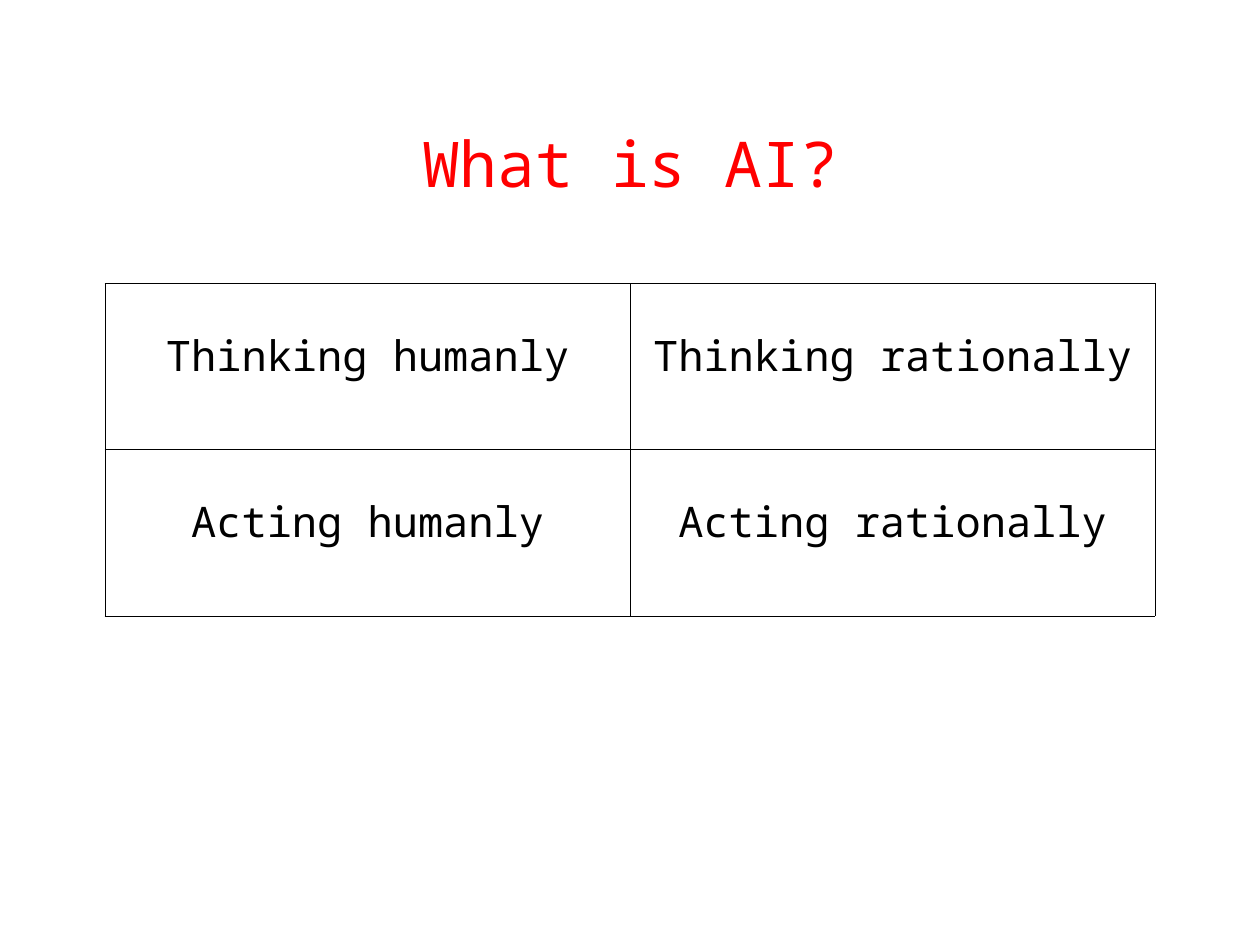
from lxml import etree
from pptx import Presentation
from pptx.dml.color import RGBColor
from pptx.enum.text import MSO_ANCHOR, PP_ALIGN
from pptx.oxml.ns import qn
from pptx.util import Pt

CENTER = PP_ALIGN.CENTER
MIDDLE = MSO_ANCHOR.MIDDLE
TOP = MSO_ANCHOR.TOP
BLANK_LAYOUT = 6
EDGES = ("a:lnL", "a:lnR", "a:lnT", "a:lnB")


def color(hex_value):
    return RGBColor.from_string(hex_value)


class SlideBuilder:
    font_name = "Noto Sans Mono"
    ink = "000000"
    accent = "FF0000"
    border_width = Pt(0.45)
    cell_format = {
        "margin_left": Pt(7.2),
        "margin_right": Pt(7.2),
        "margin_top": Pt(24.5),
        "margin_bottom": Pt(3.6),
        "vertical_anchor": TOP,
    }

    def __init__(self, slide):
        self.slide = slide

    def apply(self, target, values):
        for name, value in values.items():
            setattr(target, name, value)

    def label(self, frame, text, size, hex_value):
        paragraph = frame.paragraphs[0]
        paragraph.alignment = CENTER
        run = paragraph.add_run()
        run.text = text
        self.apply(run.font, {"name": self.font_name, "size": Pt(size)})
        run.font.color.rgb = color(hex_value)

    def title(self, text, left, top, width, height):
        box = self.slide.shapes.add_textbox(Pt(left), Pt(top), Pt(width), Pt(height))
        self.apply(box.text_frame, {"word_wrap": True, "vertical_anchor": MIDDLE})
        self.label(box.text_frame, text, 36, self.accent)

    def border(self, cell):
        properties = cell._tc.get_or_add_tcPr()
        for position, edge in enumerate(EDGES):
            line = etree.Element(qn(edge), w=str(self.border_width))
            fill = etree.SubElement(line, qn("a:solidFill"))
            etree.SubElement(fill, qn("a:srgbClr"), val=self.ink)
            properties.insert(position, line)

    def table(self, rows, left, top, column_width, row_height):
        row_count, column_count = len(rows), len(rows[0])
        grid = self.slide.shapes.add_table(
            row_count, column_count, Pt(left), Pt(top),
            Pt(column_width * column_count), Pt(row_height * row_count),
        ).table
        self.apply(grid, {"first_row": False, "horz_banding": False})
        for row, texts in zip(grid.rows, rows):
            for cell, text in zip(row.cells, texts):
                self.apply(cell, self.cell_format)
                cell.fill.background()
                self.border(cell)
                self.label(cell.text_frame, text, 24, self.ink)


def main():
    deck = Presentation()
    deck.slide_width, deck.slide_height = Pt(720), Pt(540)
    builder = SlideBuilder(deck.slides.add_slide(deck.slide_layouts[BLANK_LAYOUT]))
    builder.title("What is AI?", 54, 48, 612, 90)
    approaches = [
        [f"{activity} {manner}" for manner in ("humanly", "rationally")]
        for activity in ("Thinking", "Acting")
    ]
    builder.table(approaches, 60, 162, 300, 95)
    deck.save("out.pptx")


if __name__ == "__main__":
    main()
